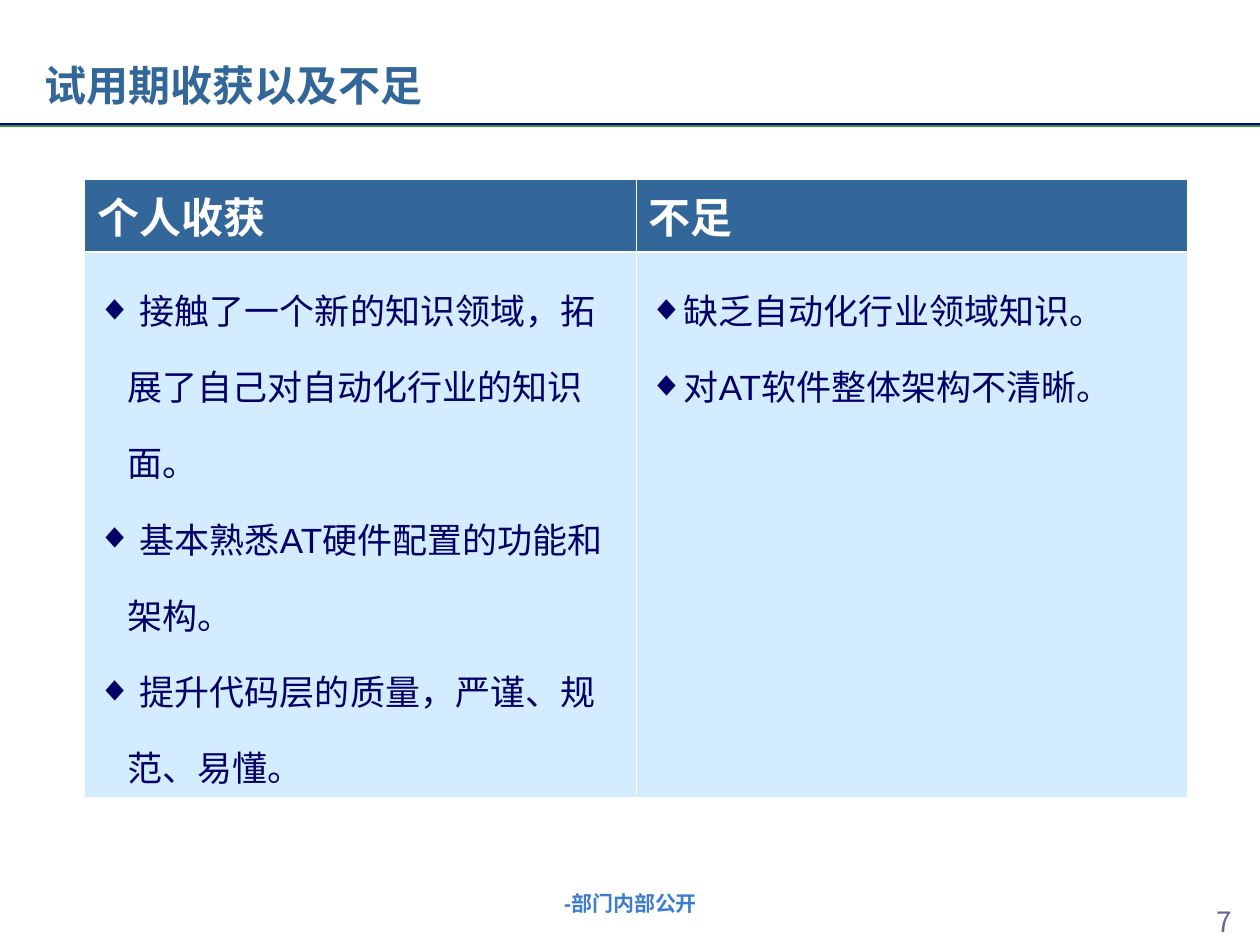
from dataclasses import dataclass

from lxml.etree import SubElement
from pptx import Presentation
from pptx.dml.color import RGBColor
from pptx.enum.lang import MSO_LANGUAGE_ID as Lang
from pptx.enum.shapes import MSO_CONNECTOR as Connector
from pptx.enum.text import MSO_ANCHOR as Anchor, PP_ALIGN as Align
from pptx.oxml.ns import qn
from pptx.util import Inches, Pt

WHITE = RGBColor(0xFF, 0xFF, 0xFF)
STEEL = RGBColor(0x33, 0x66, 0x99)
PALE = RGBColor(0xD3, 0xEC, 0xFF)
NAVY = RGBColor(0x00, 0x00, 0x66)
RULE_BLUE = RGBColor(0x00, 0x00, 0x99)
RULE_GREEN = RGBColor(0x33, 0x99, 0x33)
FOOTER_BLUE = RGBColor(0x3D, 0x7D, 0xCB)
NUMBER_PURPLE = RGBColor(0x66, 0x66, 0x99)
THIN, THICK = 0.45, 1.47


@dataclass
class Style:
    size: float
    color: RGBColor
    bold: bool = False
    font: str = "Arial"


@dataclass
class Column:
    width: float
    heading: str
    items: list[str]


@dataclass
class Label:
    text: str
    box: tuple[float, float, float, float]
    style: Style


@dataclass
class Rule:
    y: float
    color: RGBColor


TITLE = Style(24, STEEL, True)
HEADING = Style(24, WHITE, True)
BODY = Style(20, NAVY)

COLUMNS = [
    Column(4.38, "个人收获", [
        " 接触了一个新的知识领域，拓展了自己对自动化行业的知识面。",
        " 基本熟悉AT硬件配置的功能和架构。",
        " 提升代码层的质量，严谨、规范、易懂。",
    ]),
    Column(4.37, "不足", [
        "缺乏自动化行业领域知识。",
        "对AT软件整体架构不清晰。",
    ]),
]
LABELS = [
    Label("-部门内部公开", (3.42, 7.02, 3.17, 0.34), Style(12, FOOTER_BLUE, True)),
    Label("7", (9.43, 7.13, 0.57, 0.42),
          Style(16, NUMBER_PURPLE, font="Noto Sans CJK SC")),
]
RULES = [Rule(0.99, RULE_BLUE), Rule(1, RULE_GREEN)]


def format_runs(p, style: Style) -> None:
    for r in p.runs:
        r.font.name = style.font
        r.font.size = Pt(style.size)
        r.font.bold = style.bold
        r.font.color.rgb = style.color
        r.font.language_id = Lang.SIMPLIFIED_CHINESE


def add_bullet(p, color: RGBColor) -> None:
    pPr = p._p.get_or_add_pPr()
    pPr.set("marL", str(Inches(0.24)))
    pPr.set("indent", str(-Inches(0.24)))
    pPr.set("hangingPunct", "0")
    bu_clr = SubElement(pPr, qn("a:buClr"))
    SubElement(bu_clr, qn("a:srgbClr"), val=str(color))
    SubElement(pPr, qn("a:buFont"), typeface="Arial")
    SubElement(pPr, qn("a:buChar"), char="◆")


def set_borders(cell, top: float, bottom: float) -> None:
    tcPr = cell._tc.get_or_add_tcPr()
    sides = [("L", THIN), ("R", THIN), ("T", top), ("B", bottom)]
    for i, (side, width) in enumerate(sides):
        ln = SubElement(tcPr, qn(f"a:ln{side}"), w=str(Pt(width)))
        fill = SubElement(ln, qn("a:solidFill"))
        SubElement(fill, qn("a:srgbClr"), val=str(WHITE))
        tcPr.insert(i, ln)


def fill_cell(cell, color: RGBColor, top: float, bottom: float) -> None:
    cell.fill.solid()
    cell.fill.fore_color.rgb = color
    set_borders(cell, top, bottom)


def add_rule(s, rule: Rule) -> None:
    y = Inches(rule.y)
    line = s.shapes.add_connector(Connector.STRAIGHT, 0, y, Inches(10), y)
    line.line.color.rgb = rule.color
    line.line.width = Pt(1.5)
    SubElement(line._element.spPr, qn("a:effectLst"))


def add_label(s, label: Label) -> None:
    sp = s.shapes.add_textbox(*map(Inches, label.box))
    tf = sp.text_frame
    tf.word_wrap = True
    tf.text = label.text
    p = tf.paragraphs[0]
    p.alignment = Align.CENTER
    format_runs(p, label.style)


def add_title(s, text: str) -> None:
    sp = s.shapes.title
    sp.left, sp.top = Inches(0.25), Inches(0)
    sp.width, sp.height = Inches(8.98), Inches(0.94)
    tf = sp.text_frame
    tf.text = text
    tf.vertical_anchor = Anchor.BOTTOM
    tf.margin_bottom = Inches(0.07)
    p = tf.paragraphs[0]
    p.alignment = Align.LEFT
    format_runs(p, TITLE)


def add_review_table(s, columns: list[Column]) -> None:
    frame = s.shapes.add_table(2, len(columns), Inches(0.67), Inches(1.42),
                               Inches(8.75), Inches(4.91))
    table = frame.table
    table.rows[0].height = Inches(0.58)
    table.rows[1].height = Inches(4.33)
    for i, column in enumerate(columns):
        table.columns[i].width = Inches(column.width)
        head, body = table.cell(0, i), table.cell(1, i)
        fill_cell(head, STEEL, THIN, THICK)
        fill_cell(body, PALE, THICK, THIN)
        head.text_frame.text = column.heading
        format_runs(head.text_frame.paragraphs[0], HEADING)
        body.text_frame.text = "\n".join(column.items)
        for p in body.text_frame.paragraphs:
            p.line_spacing = 1.5
            add_bullet(p, NAVY)
            format_runs(p, BODY)


def main() -> None:
    prs = Presentation()
    prs.slide_width, prs.slide_height = Inches(10), Inches(7.5)
    s = prs.slides.add_slide(prs.slide_layouts[5])
    for rule in RULES:
        add_rule(s, rule)
    add_title(s, "试用期收获以及不足")
    for label in LABELS:
        add_label(s, label)
    add_review_table(s, COLUMNS)
    prs.save("out.pptx")


if __name__ == "__main__":
    main()
